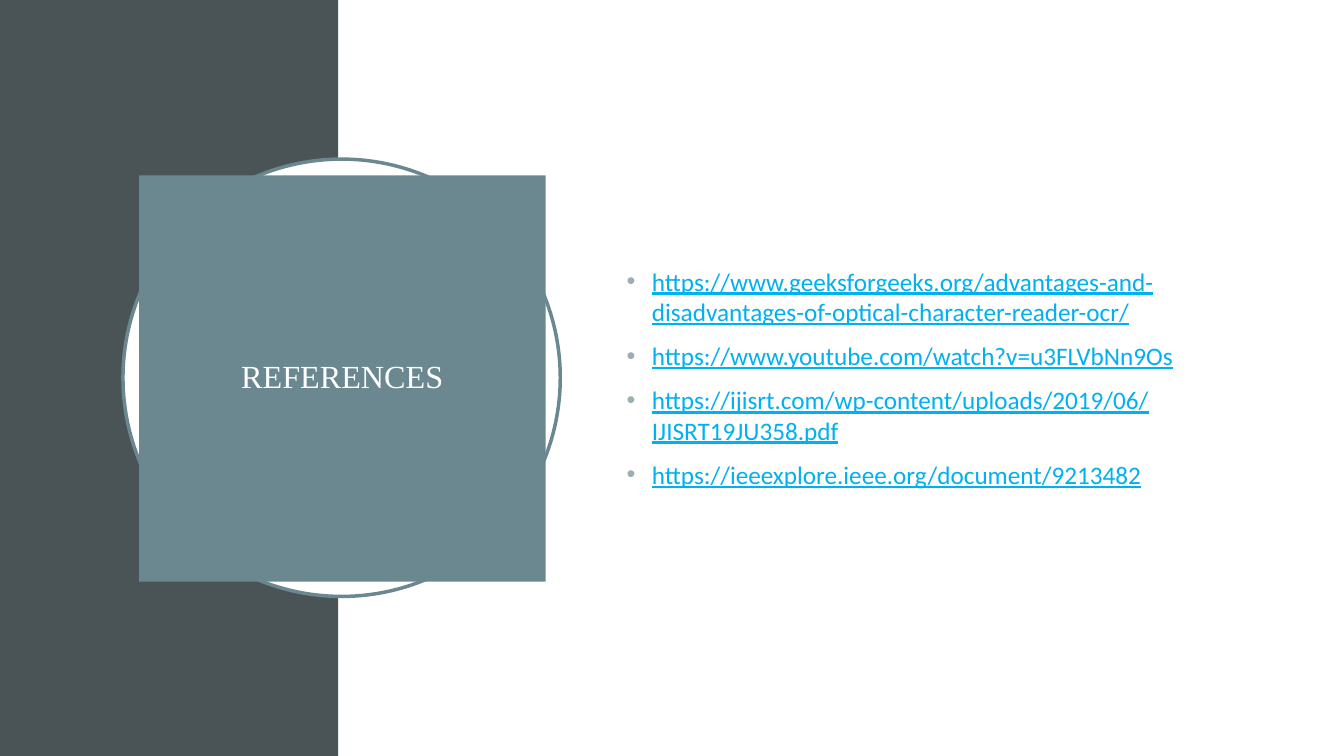
"""Build the references slide: a framed title beside a bulleted list of links."""
from dataclasses import dataclass

import lxml.etree
import pptx
import pptx.dml.color
import pptx.enum.shapes
import pptx.enum.text
import pptx.oxml.ns
import pptx.util

Cm = pptx.util.Cm
Pt = pptx.util.Pt
MSO_SHAPE = pptx.enum.shapes.MSO_SHAPE
PP_ALIGN = pptx.enum.text.PP_ALIGN


@dataclass(frozen=True)
class Theme:
    dark: str = "4A5356"
    accent: str = "6B8890"
    white: str = "FFFFFF"
    bullet: str = "9BAFB5"
    link: str = "00B0F0"
    title_font: str = "Times New Roman"
    body_font: str = "Calibri"
    title_size: float = 23
    body_size: float = 18
    link_gap: float = 10


THEME = Theme()
SLIDE_W, SLIDE_H = 33.87, 19.05
PANEL_W = 8.53
LINKS = (
    "https://www.geeksforgeeks.org/advantages-and-disadvantages-of-optical-character-reader-ocr/",
    "https://www.youtube.com/watch?v=u3FLVbNn9Os",
    "https://ijisrt.com/wp-content/uploads/2019/06/IJISRT19JU358.pdf",
    "https://ieeexplore.ieee.org/document/9213482",
)


def rgb(color):
    return pptx.dml.color.RGBColor.from_string(color)


def add_panel(slide, kind, x, y, w, h, fill, line=None):
    sp = slide.shapes.add_shape(kind, Cm(x), Cm(y), Cm(w), Cm(h))
    sp.shadow.inherit = False
    sp.fill.solid()
    sp.fill.fore_color.rgb = rgb(fill)
    if line:
        sp.line.color.rgb = rgb(line)
        sp.line.width = Pt(2.5)
    else:
        sp.line.fill.background()
    return sp


def set_frame(tf, side, top):
    tf.word_wrap = True
    tf.vertical_anchor = pptx.enum.text.MSO_ANCHOR.MIDDLE
    tf.margin_left = tf.margin_right = Cm(side)
    tf.margin_top = tf.margin_bottom = Cm(top)


def add_bullet(p, color, indent=0.64):
    pPr = p._p.get_or_add_pPr()
    pPr.set("marL", str(Cm(indent)))
    pPr.set("indent", str(-Cm(indent)))
    qn = pptx.oxml.ns.qn
    buClr = lxml.etree.SubElement(pPr, qn("a:buClr"))
    lxml.etree.SubElement(buClr, qn("a:srgbClr"), val=color)
    lxml.etree.SubElement(pPr, qn("a:buFont"), typeface="Arial")
    lxml.etree.SubElement(pPr, qn("a:buChar"), char="•")


def write_text(p, text, *, font, size, color, underline=False,
               align=PP_ALIGN.LEFT, spacing=1.0, before=0):
    p.alignment = align
    p.line_spacing = spacing
    p.space_before = Pt(before)
    r = p.add_run()
    r.text = text
    r.font.name = font
    r.font.size = Pt(size)
    r.font.color.rgb = rgb(color)
    r.font.underline = underline


def add_title(slide, text):
    add_panel(slide, MSO_SHAPE.OVAL, 3.1, 4.01, 11.02, 11.02, THEME.white, THEME.accent)
    sp = add_panel(slide, MSO_SHAPE.RECTANGLE, 3.51, 4.42, 10.24, 10.24, THEME.accent)
    set_frame(sp.text_frame, 0.51, 0.51)
    write_text(sp.text_frame.paragraphs[0], text, font=THEME.title_font,
               size=THEME.title_size, color=THEME.white,
               align=PP_ALIGN.CENTER, spacing=0.9)


def add_links(slide, links):
    tf = slide.shapes.add_textbox(Cm(15.54), Cm(3.89), Cm(14.78), Cm(11.25)).text_frame
    set_frame(tf, 0.25, 0.13)
    for i, link in enumerate(links):
        p = tf.add_paragraph() if i else tf.paragraphs[0]
        add_bullet(p, THEME.bullet)
        write_text(p, link, font=THEME.body_font, size=THEME.body_size,
                   color=THEME.link, underline=True,
                   before=THEME.link_gap if i else 0)


def main():
    prs = pptx.Presentation()
    prs.slide_width, prs.slide_height = Cm(SLIDE_W), Cm(SLIDE_H)
    slide = prs.slides.add_slide(prs.slide_layouts[6])
    add_panel(slide, MSO_SHAPE.RECTANGLE, 0, 0, PANEL_W, SLIDE_H, THEME.dark)
    add_panel(slide, MSO_SHAPE.RECTANGLE, PANEL_W, 0, SLIDE_W - PANEL_W, SLIDE_H, THEME.white)
    add_title(slide, "REFERENCES")
    add_links(slide, LINKS)
    prs.save("out.pptx")


if __name__ == "__main__":
    main()
